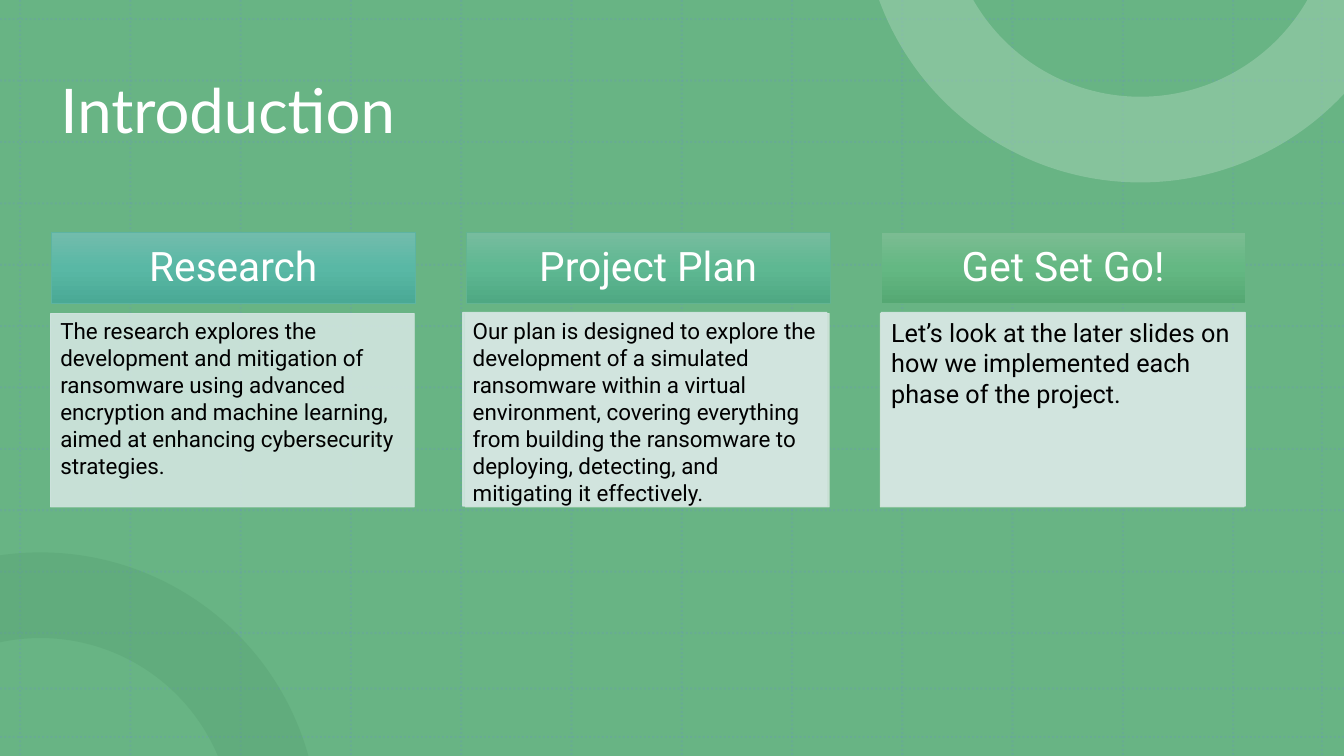
"""Build the Introduction slide: three headed cards on a green grid with two rings."""
import math

from lxml import etree
from pptx import Presentation
from pptx.dml.color import RGBColor
from pptx.enum.dml import MSO_LINE
from pptx.enum.shapes import MSO_CONNECTOR, MSO_SHAPE
from pptx.enum.text import MSO_ANCHOR, PP_ALIGN
from pptx.oxml.ns import qn
from pptx.util import Inches, Pt

RECTANGLE, STRAIGHT = MSO_SHAPE.RECTANGLE, MSO_CONNECTOR.STRAIGHT
DOTTED = MSO_LINE.ROUND_DOT
TOP, MIDDLE = MSO_ANCHOR.TOP, MSO_ANCHOR.MIDDLE
LEFT, CENTER = PP_ALIGN.LEFT, PP_ALIGN.CENTER

COLORS = {
    "background": "68B484", "grid": "6A90CE", "dark ring": "478E61",
    "light ring": "A4D2B5", "white": "FFFFFF", "black": "000000", "card": "D2E5E0",
}
TITLE = "Introduction"
COLUMNS = [
    {"heading": "Research", "gradient": ("72BCAC", "59B8A5", "4AA995"),
     "edge": "5DB4A2", "base": "D2E5E0", "size": 16, "left": 0.5, "filled": False,
     "body": ["The research explores the development and mitigation of ransomware using "
              "advanced encryption and machine learning, aimed at enhancing "
              "cybersecurity strategies."]},
    {"heading": "Project Plan", "gradient": ("77BC9E", "5EB892", "4FA883"),
     "edge": "63B492", "base": "D3E5DC", "size": 16, "left": 4.59, "filled": True,
     "body": ["Our plan is designed to explore the development of a simulated ransomware "
              "within a virtual environment, covering everything from building the "
              "ransomware to deploying, detecting, and",
              "mitigating it effectively."]},
    {"heading": "Get Set Go!", "gradient": ("7BBC92", "64B883", "55A873"),
     "edge": "68B484", "base": "D4E5D9", "size": 18, "left": 8.74, "filled": True,
     "body": ["Let’s look at the later slides on how we implemented each phase of "
              "the project."]},
]
RINGS = [
    {"center": (0.4, 8.24), "outer": (261.7, 270, 344.45), "inner": (337.2, 270, 257.9),
     "corners": [], "color": "dark ring", "opacity": 20},
    {"center": (11.31, -0.95), "outer": (159.87, 90, 42.95), "inner": (29.83, 90, 150.17),
     "corners": [(13.33, 0)], "color": "light ring", "opacity": 50},
]
WIDTH, HEIGHT = 13.33, 7.5
OUTER_RADIUS, INNER_RADIUS = 2.76, 1.91
GRID_X, GRID_Y = (0.2, 12.23, 12), (0.19, 6.28, 11)
LAST_ROWS, LAST_COLUMN = (6.83, 7.31), 13.11
FIRST_LEFT, CARD_WIDTH = 0.5, 3.61
PITCH = (8.74 - 0.51) / 2
HEADER_TOP, HEADER_HEIGHT = 2.31, 0.7
CARD_TOP, CARD_HEIGHT, OPACITY = 3.1, 1.92, 90


def paint(fill, color, opacity=100):
    """Apply a solid colour with optional opacity to a fill."""
    fill.solid()
    fill.fore_color.rgb = RGBColor.from_string(color)
    if opacity < 100:
        solid = fill._xPr.find(qn("a:solidFill"))
        etree.SubElement(solid[0], qn("a:alpha"), val=str(opacity * 1000))


def paint_gradient(shape, colors):
    """Fill a shape from top to bottom with evenly spaced colours."""
    shape.fill.gradient()
    shape.fill.gradient_angle = 270
    stops = shape._element.spPr.find(qn("a:gradFill")).find(qn("a:gsLst"))
    for stop in list(stops):
        stops.remove(stop)
    for index, color in enumerate(colors):
        position = index * 100000 // (len(colors) - 1)
        stop = etree.SubElement(stops, qn("a:gs"), pos=str(position))
        etree.SubElement(stop, qn("a:srgbClr"), val=color)


def write(shape, paragraphs, size, color="black", font="Roboto", align=LEFT,
          anchor=TOP, spacing=1.0, insets=(0.1, 0.05)):
    """Write formatted paragraphs into a shape."""
    frame = shape.text_frame
    frame.word_wrap = True
    frame.vertical_anchor = anchor
    frame.margin_left = frame.margin_right = Inches(insets[0])
    frame.margin_top = frame.margin_bottom = Inches(insets[1])
    frame.text = "\n".join(paragraphs)
    for paragraph in frame.paragraphs:
        paragraph.alignment = align
        paragraph.line_spacing = spacing
        paragraph.font.size = Pt(size)
        paragraph.font.name = font
        paragraph.font.color.rgb = RGBColor.from_string(COLORS[color])


def add_rectangle(slide, left, top, height, edge, line_width=0.5, opacity=100):
    """Add a card-wide rectangle with an edge."""
    shape = slide.shapes.add_shape(
        RECTANGLE, Inches(left), Inches(top), Inches(CARD_WIDTH), Inches(height))
    shape.shadow.inherit = False
    paint(shape.line.fill, edge, opacity)
    shape.line.width = Pt(line_width)
    return shape


def spread(first, last, count):
    """Return evenly spaced positions."""
    return [first + (last - first) * index / (count - 1) for index in range(count)]


def add_grid(slide):
    """Draw the green backdrop and its faint dotted grid."""
    backdrop = slide.shapes.add_shape(RECTANGLE, 0, 0, Inches(WIDTH), Inches(HEIGHT))
    backdrop.shadow.inherit = False
    paint(backdrop.fill, COLORS["background"])
    backdrop.line.fill.background()
    columns = spread(*GRID_X) + [LAST_COLUMN]
    rows = spread(*GRID_Y) + list(LAST_ROWS)
    ends = [(x, 0, x, HEIGHT) for x in columns] + [(0, y, WIDTH, y) for y in rows]
    for points in ends:
        line = slide.shapes.add_connector(STRAIGHT, *map(Inches, points))
        paint(line.line.fill, COLORS["grid"], 20)
        line.line.width = Pt(1.5)
        line.line.dash_style = DOTTED
        etree.SubElement(line._element.spPr, qn("a:effectLst"))


def arc(center, radius, angles):
    """Return a start point and three control points for each following angle."""
    def place(angle, along=0):
        cosine, sine = math.cos(angle), math.sin(angle)
        return (center[0] + radius * (cosine - along * sine),
                center[1] + radius * (sine + along * cosine))

    turns = [math.radians(angle) for angle in angles]
    points = [place(turns[0])]
    for start, end in zip(turns, turns[1:]):
        handle = 4 / 3 * math.tan((end - start) / 4)
        points += [place(start, handle), place(end, -handle), place(end)]
    return points


def add_ring(slide, ring):
    """Draw the part of a ring that lies on the slide."""
    outer = arc(ring["center"], OUTER_RADIUS, ring["outer"])
    inner = arc(ring["center"], INNER_RADIUS, ring["inner"])
    points = [tuple(map(Inches, point)) for point in outer + ring["corners"] + inner]
    builder = slide.shapes.build_freeform(*points[0])
    builder.add_line_segments(points[1:], close=True)
    shape = builder.convert_to_shape()
    lines = list(shape._element.spPr.iter(qn("a:lnTo")))
    second = len(outer) + len(ring["corners"])
    for start in (0, 3, second, second + 3):
        curve = etree.Element(qn("a:cubicBezTo"))
        lines[start].addprevious(curve)
        for line in lines[start:start + 3]:
            curve.append(line[0])
            line.getparent().remove(line)
    shape.shadow.inherit = False
    paint(shape.fill, COLORS[ring["color"]], ring["opacity"])
    shape.line.fill.background()


def add_column(slide, index, column):
    """Add one heading with its card."""
    left = FIRST_LEFT + PITCH * index
    header = add_rectangle(slide, left + 0.01, HEADER_TOP, HEADER_HEIGHT, column["edge"])
    paint_gradient(header, column["gradient"])
    write(header, [column["heading"]], 29, color="white", align=CENTER, anchor=MIDDLE,
          spacing=0.9, insets=(0.23, 0.13))
    base = add_rectangle(slide, left, CARD_TOP + 0.01, CARD_HEIGHT, column["base"],
                         opacity=OPACITY)
    paint(base.fill, column["base"], OPACITY)
    if column["filled"]:
        card = add_rectangle(slide, column["left"], CARD_TOP, CARD_HEIGHT, COLORS["card"],
                             line_width=1, opacity=OPACITY)
        paint(card.fill, COLORS["card"], OPACITY)
    else:
        card = slide.shapes.add_textbox(Inches(column["left"]), Inches(CARD_TOP),
                                        Inches(CARD_WIDTH), Inches(1.72))
    write(card, column["body"], column["size"])


def main():
    """Build and save the presentation."""
    presentation = Presentation()
    presentation.slide_width, presentation.slide_height = Inches(WIDTH), Inches(HEIGHT)
    slide = presentation.slides.add_slide(presentation.slide_layouts[5])
    add_grid(slide)
    for ring in RINGS:
        add_ring(slide, ring)
    title = slide.shapes.title
    title.left, title.top = Inches(0.5), Inches(0.4)
    title.width, title.height = Inches(11.73), Inches(1.45)
    write(title, [TITLE], 44, color="white", font="Lato", anchor=MIDDLE, spacing=0.9)
    slide.shapes._spTree.append(title._element)
    for index, column in enumerate(COLUMNS):
        add_column(slide, index, column)
    presentation.save("out.pptx")


if __name__ == "__main__":
    main()
